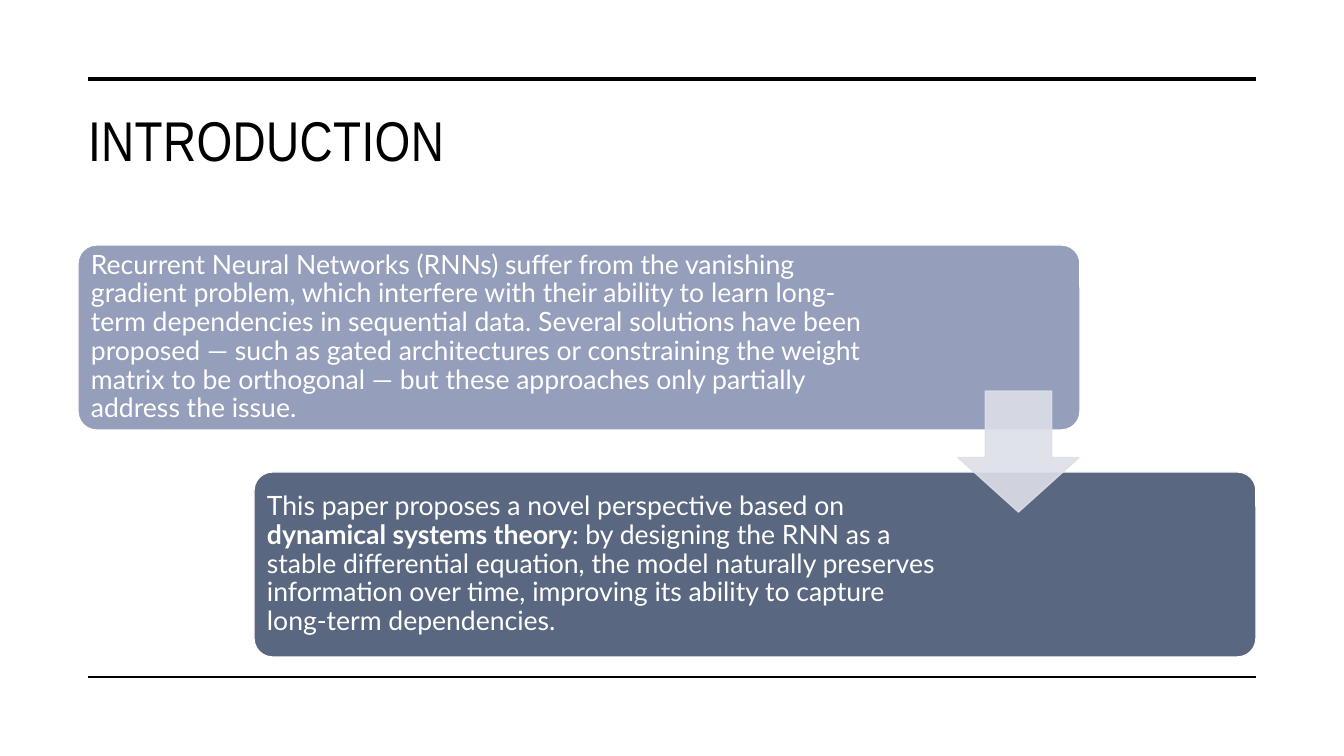
import pptx
import pptx.util
import pptx.dml.color
import pptx.enum.shapes
import pptx.enum.text
import pptx.oxml.ns
import lxml.etree

# Content
TITLE = "INTRODUCTION"
CARDS = [
    {"left": 78, "top": 245, "fill": "959EBB", "wide": 810, "runs": [
        ("Recurrent Neural Networks (RNNs) suffer from the vanishing gradient "
         "problem, which interfere with their ability to learn long-term "
         "dependencies in sequential data. Several solutions have been proposed "
         "— such as gated architectures or constraining the weight matrix to be "
         "orthogonal — but these approaches only partially address the issue.",
         False)]},
    {"left": 254, "top": 472, "fill": "596781", "wide": 693, "runs": [
        ("This paper proposes a novel perspective based on ", False),
        ("dynamical systems theory", True),
        (": by designing the RNN as a stable differential equation, the model "
         "naturally preserves information over time, improving its ability to "
         "capture long-term dependencies.", False)]},
]
RULES = [(79, 3.5), (677, 1)]
CARD_W, CARD_H, PAD = 1002, 185, 5
SHAPE = pptx.enum.shapes.MSO_SHAPE
ANCHOR = pptx.enum.text.MSO_ANCHOR
FIT = pptx.enum.text.MSO_AUTO_SIZE
ALIGN = pptx.enum.text.PP_ALIGN


def px(n):
    return round(n * 9144000 / 1008)


def box(*sides):
    return [px(n) for n in sides]


def tint(hue):
    return pptx.dml.color.RGBColor.from_string(hue)


def put(thing, **vals):
    for name, val in vals.items():
        setattr(thing, name, val)


def fade(node, pct):
    for hue in node.iter(pptx.oxml.ns.qn("a:srgbClr")):
        part = lxml.etree.SubElement(hue, pptx.oxml.ns.qn("a:alpha"))
        part.set("val", str(pct * 1000))


def block(kind, sides, fill, edge, adj):
    shape = slide.shapes.add_shape(kind, *box(*sides))
    shape.shadow.inherit = False
    shape.fill.solid()
    shape.fill.fore_color.rgb = tint(fill)
    shape.line.color.rgb = tint(edge)
    shape.line.width = pptx.util.Pt(1)
    for i, val in enumerate(adj):
        shape.adjustments[i] = val
    return shape


def write(para, text, hue, **vals):
    run = para.add_run()
    run.text = text
    put(run.font, **vals)
    run.font.color.rgb = tint(hue)
    return run


deck = pptx.Presentation()
put(deck, slide_width=px(1344), slide_height=px(756))
slide = deck.slides.add_slide(deck.slide_layouts[5])

# Title
title = slide.shapes.title
put(title, **dict(zip(("left", "top", "width", "height"),
                      box(78, 100, 1178, 127))))
put(title.text_frame, vertical_anchor=ANCHOR.TOP, auto_size=FIT.NONE,
    word_wrap=True)
head = title.text_frame.paragraphs[0]
head.alignment = ALIGN.LEFT
run = write(head, TITLE, "000000", name="Arial Narrow", size=pptx.util.Pt(40))
run._r.get_or_add_rPr().set("spc", "30")

# Rules above and below
for y, weight in RULES:
    rule = slide.shapes.add_connector(
        pptx.enum.shapes.MSO_CONNECTOR.STRAIGHT, *box(88, y, 1256, y))
    rule.line.color.rgb = tint("000000")
    rule.line.width = pptx.util.Pt(weight)
    lxml.etree.SubElement(rule._element.spPr, pptx.oxml.ns.qn("a:effectLst"))

# Cards with their text
for card in CARDS:
    left, top = card["left"], card["top"]
    block(SHAPE.ROUNDED_RECTANGLE, (left, top, CARD_W, CARD_H),
          card["fill"], "FFFFFF", [0.1])
    area = slide.shapes.add_textbox(
        *box(left + PAD, top + PAD, card["wide"], CARD_H - 2 * PAD))
    frame = area.text_frame
    put(frame, word_wrap=True, vertical_anchor=ANCHOR.MIDDLE,
        margin_left=px(8), margin_right=px(8),
        margin_top=px(8), margin_bottom=px(8))
    para = frame.paragraphs[0]
    put(para, line_spacing=0.9, alignment=ALIGN.LEFT)
    for text, bold in card["runs"]:
        write(para, text, "FFFFFF", name="Lato", size=pptx.util.Pt(19),
              bold=bold)

# Arrow from the first card to the second
arrow = block(SHAPE.DOWN_ARROW, (958, 391, 121, 121),
              "DDDFE7", "DDDFE7", [0.55, 0.45])
fade(arrow._element.spPr, 90)

deck.save("out.pptx")
